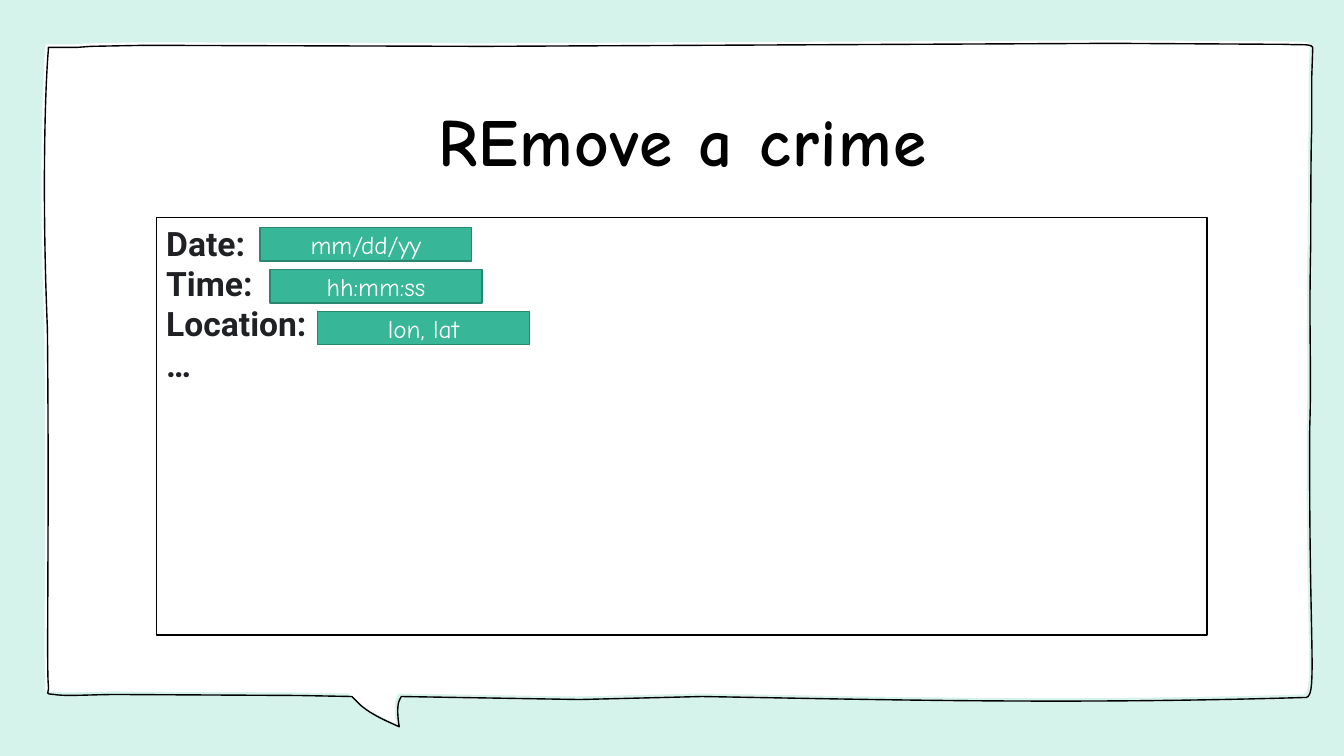
from lxml import etree
from pptx import Presentation
from pptx.dml.color import RGBColor
from pptx.enum.shapes import MSO_SHAPE as SHAPE
from pptx.enum.text import MSO_ANCHOR as ANCHOR, MSO_AUTO_SIZE as AUTO, PP_ALIGN as ALIGN
from pptx.oxml.ns import qn
from pptx.util import Inches, Pt

HAND_FONT, LABEL_FONT = "Comic Neue", "Roboto"
MINT, GREEN, DARK_GREEN = "D5F2EB", "38B698", "298770"
BLACK, WHITE, INK = "000000", "FFFFFF", "202124"

# Balloon outline relative to its box: 2 numbers are a corner, 6 a Bezier curve.
BALLOON = [
    (10.59, 0), (12.32, 0.01), (12.45, 0.02, 12.56, 0, 12.58, 0.04), (12.57, 0.34),
    (12.57, 0.51, 12.57, 0.7, 12.57, 0.87), (12.56, 0.99, 12.56, 1.92, 12.56, 1.99),
    (12.54, 2.87, 12.57, 3.22, 12.55, 3.82), (12.54, 6.13, 12.64, 6.52, 12.49, 6.49),
    (10.12, 6.56, 8.28, 6.51, 6.52, 6.48), (5.31, 6.51), (3.54, 6.48), (3.52, 6.52),
    (3.5, 6.56, 3.5, 6.67, 3.52, 6.78), (3.41, 6.73, 3.26, 6.67, 3.14, 6.57),
    (3.05, 6.48), (2.52, 6.47), (0.73, 6.46), (0.46, 6.46, 0.22, 6.48, 0.1, 6.46),
    (-0.01, 6.45, 0.05, 6.46, 0.04, 6.37), (0.02, 6.22, 0.05, 4.79, 0.03, 2.83),
    (-0.02, 1.64, 0, 0.53, 0.04, 0.06), (0.04, 0.04), (0.1, 0.04), (0.33, 0.04),
    (0.46, 0.03), (0.99, 0.02), (4.36, 0.03),
]
FIELDS = [("Date:", 1.03, "mm/dd/yy"), ("Time:", 1.13, "hh:mm:ss"),
          ("Location:", 1.6, "lon, lat")]
FIELD_STEP = 0.83 / 2


def color(hex_text):
    """Turn a hex string into a colour."""
    return RGBColor.from_string(hex_text)


def paint(sp, fill=None, line=None):
    """Set a shape's fill and 1 pt line, or leave either empty."""
    sp.shadow.inherit = False
    if fill:
        sp.fill.solid()
        sp.fill.fore_color.rgb = color(fill)
    else:
        sp.fill.background()
    if line:
        sp.line.color.rgb = color(line)
        sp.line.width = Pt(1)
    else:
        sp.line.fill.background()


def write(tf, text, size, font, ink, align, anchor, bold=False):
    """Fill a text frame and format every run in it."""
    tf.text = text
    tf.word_wrap, tf.auto_size, tf.vertical_anchor = True, AUTO.NONE, anchor
    for p in tf.paragraphs:
        p.alignment = align
        for r in p.runs:
            r.font.size, r.font.name, r.font.bold = Pt(size), font, bold
            r.font.color.rgb = color(ink)


def add_outline(s, outline, left, top):
    """Build a freeform whose six-number parts are true Bezier curves."""
    parts = [[(Inches(left + x), Inches(top + y)) for x, y in zip(part[::2], part[1::2])]
             for part in outline]
    builder = s.shapes.build_freeform(*parts[0][-1])
    builder.add_line_segments([part[-1] for part in parts[1:]], close=True)
    sp = builder.convert_to_shape()
    segments = list(sp._element.iter(qn("a:lnTo")))
    for segment, part in zip(segments, parts[1:]):
        if len(part) == 3:
            curve = etree.Element(qn("a:cubicBezTo"))
            for x, y in part:
                etree.SubElement(curve, qn("a:pt"), x=str(x - sp.left), y=str(y - sp.top))
            segment.getparent().replace(segment, curve)
    return sp


def add_balloon(s, left, top, offset=0.03):
    """Put the white balloon and its shifted outline on the slide's layout."""
    tree = s.slide_layout.shapes._spTree
    for i, (shift, fill, line) in enumerate(((0, WHITE, None), (offset, None, BLACK))):
        sp = add_outline(s, BALLOON, left + shift, top + shift)
        paint(sp, fill, line)
        tree.insert(2 + i, sp._element)


def add_title(s, left, top, width, height):
    """Place and format the title placeholder."""
    title = s.shapes.title
    title.left, title.top, title.width, title.height = map(
        Inches, (left, top, width, height))
    write(title.text_frame, "REmove a crime", 48, HAND_FONT, BLACK,
          ALIGN.CENTER, ANCHOR.MIDDLE, bold=True)
    for r in title.text_frame.paragraphs[0].runs:
        r.font._element.set("spc", "100")


def add_box(s, left, top, width, height, fill, line):
    """Add a painted rectangle."""
    sp = s.shapes.add_shape(SHAPE.RECTANGLE, *map(Inches, (left, top, width, height)))
    paint(sp, fill, line)
    return sp


def add_form(s, left, top, width, height):
    """Draw the form panel with its labels and input fields."""
    panel = add_box(s, left, top, width, height, WHITE, BLACK)
    labels = "\n".join([label for label, _, _ in FIELDS] + ["…"])
    write(panel.text_frame, labels, 24, LABEL_FONT, INK, ALIGN.LEFT, ANCHOR.TOP, bold=True)
    for row, (_, indent, hint) in enumerate(FIELDS):
        field = add_box(s, left + indent, top + 0.1 + row * FIELD_STEP, 2.1, 0.33,
                        GREEN, DARK_GREEN)
        write(field.text_frame, hint, 18, HAND_FONT, WHITE, ALIGN.CENTER, ANCHOR.MIDDLE)


def build_slide(prs):
    """Build the crime removal slide."""
    s = prs.slides.add_slide(prs.slide_layouts[5])
    s.background.fill.solid()
    s.background.fill.fore_color.rgb = color(MINT)
    add_balloon(s, 0.41, 0.4)
    add_title(s, 1.12, 0.61, 11.3, 1.55)
    add_form(s, 1.55, 2.16, 10.42, 4.14)


prs = Presentation()
prs.slide_width, prs.slide_height = Inches(13.33), Inches(7.5)
build_slide(prs)
prs.save("out.pptx")
